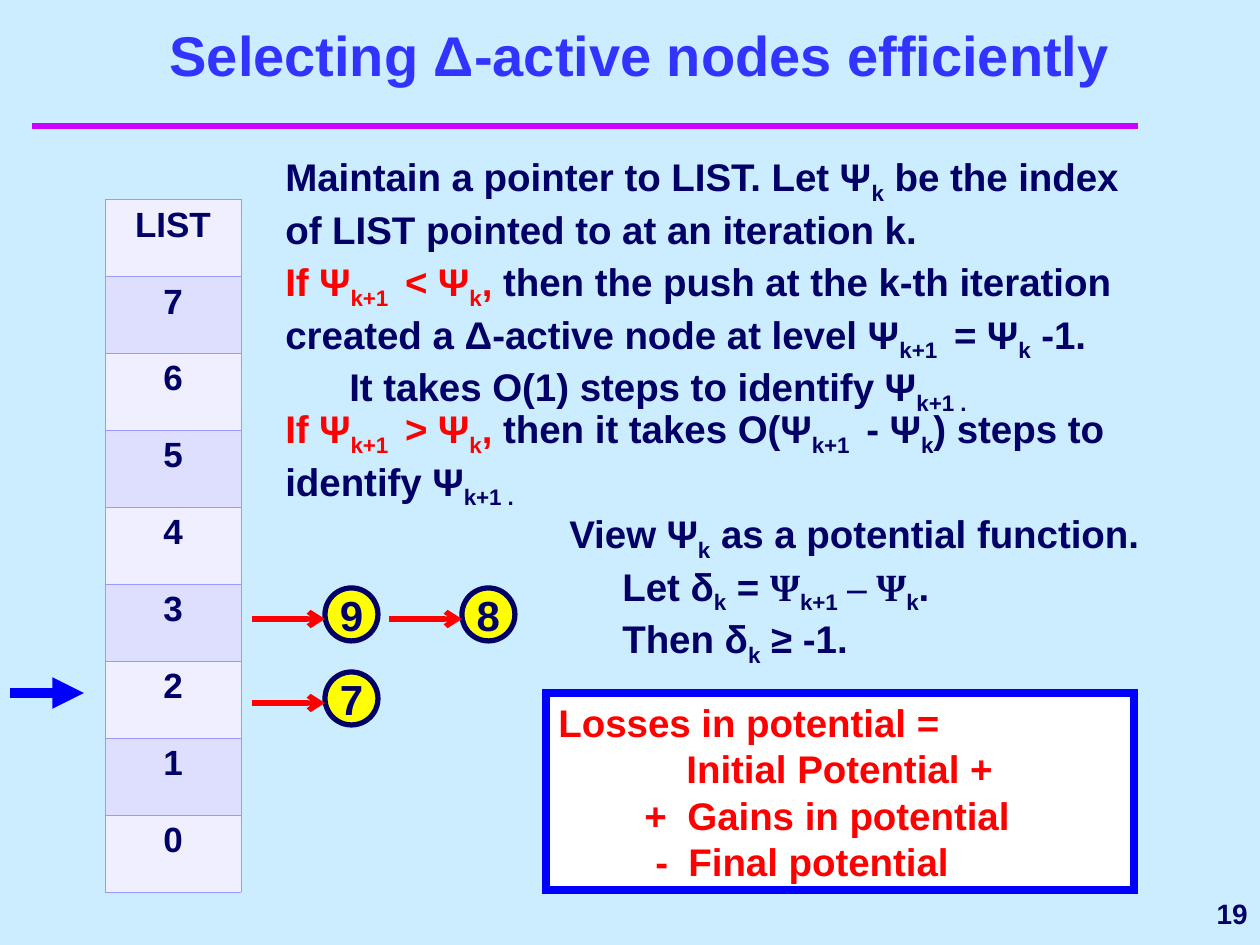
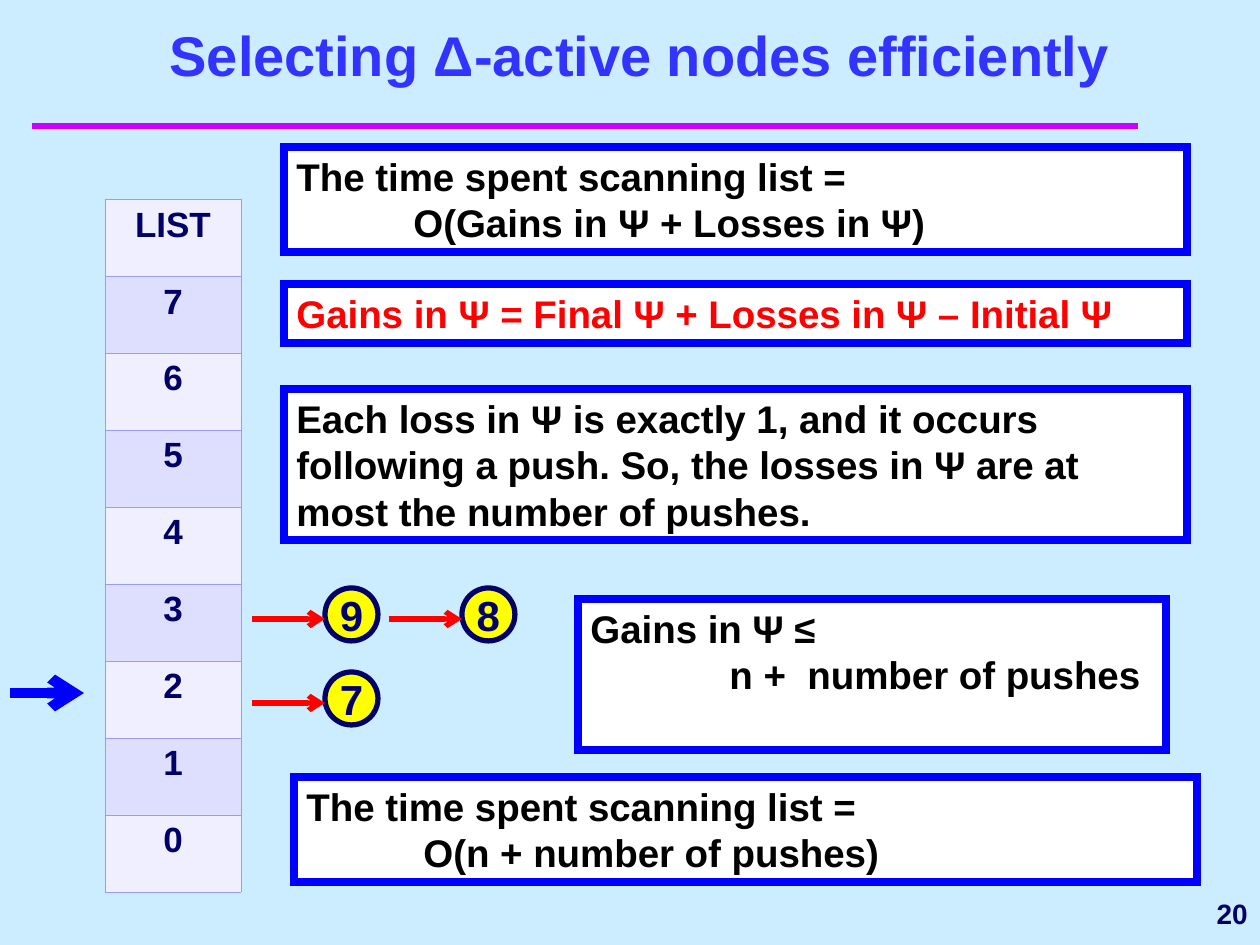
from dataclasses import dataclass

from lxml.etree import SubElement
from pptx import Presentation
from pptx.dml.color import RGBColor
from pptx.enum.shapes import MSO_CONNECTOR, MSO_SHAPE
from pptx.enum.text import MSO_ANCHOR, PP_ALIGN
from pptx.oxml import parse_xml
from pptx.oxml.ns import nsdecls, qn
from pptx.util import Emu, Pt


@dataclass(frozen=True)
class Theme:
    font: str = "Arial"
    serif: str = "Times New Roman"
    background: str = "CCECFF"
    title: str = "3333FF"
    rule: str = "CC00FF"
    ink: str = "000066"
    black: str = "000000"
    red: str = "FF0000"
    blue: str = "0000FF"
    white: str = "FFFFFF"
    node: str = "FFFF00"
    grid: str = "9999FF"
    bands: tuple = ("EFEFFF", "DEDEFF")
    title_size: int = 32
    node_size: int = 24
    body_size: int = 22
    table_size: int = 20
    number_size: int = 16


THEME = Theme()
LIST_LABELS = ("LIST", "7", "6", "5", "4", "3", "2", "1", "0")


@dataclass(frozen=True)
class Span:
    """Text in which every second part between ~ marks is a subscript."""
    text: str
    color: str = THEME.ink
    font: str = THEME.font


@dataclass(frozen=True)
class Line:
    """A paragraph; indent and hang are px, and a tab jumps to the indent."""
    spans: tuple
    indent: int = 0
    hang: int = 0


def px(length):
    return Emu(round(length * 914400 / 126))


def color_of(code):
    return RGBColor.from_string(code)


def format_run(run, size, color, font=THEME.font):
    run.font.size = Pt(size)
    run.font.bold = True
    run.font.name = font
    run.font.color.rgb = color_of(color)


def add_label(frame, text, size, color, align):
    para = frame.paragraphs[0]
    para.text = text
    para.alignment = align
    format_run(para.runs[0], size, color)


def fill_lines(frame, lines):
    frame.word_wrap = True
    frame.vertical_anchor = MSO_ANCHOR.TOP
    for number, line in enumerate(lines):
        para = frame.add_paragraph() if number else frame.paragraphs[0]
        para.alignment = PP_ALIGN.LEFT
        properties = para._p.get_or_add_pPr()
        properties.set("marL", str(px(line.indent)))
        properties.set("indent", str(px(-line.hang)))
        for span in line.spans:
            for part, text in enumerate(span.text.split("~")):
                if not text:
                    continue
                run = para.add_run()
                run.text = text
                format_run(run, THEME.body_size, span.color, span.font)
                if part % 2:
                    run.font._element.set("baseline", "-25000")


def add_text(page, box, lines):
    fill_lines(page.shapes.add_textbox(*map(px, box)).text_frame, lines)


def add_panel(page, box, lines):
    """A white box with a thick, square-cornered blue frame."""
    panel = add_preset(page, MSO_SHAPE.RECTANGLE, box, THEME.white, THEME.blue, 4.5)
    SubElement(panel.line._get_or_add_ln(), qn("a:miter"), lim="800000")
    fill_lines(panel.text_frame, lines)


def add_preset(page, kind, box, fill, outline, width):
    shape = page.shapes.add_shape(kind, *map(px, box))
    shape.shadow.inherit = False
    shape.fill.solid()
    shape.fill.fore_color.rgb = color_of(fill)
    shape.line.color.rgb = color_of(outline)
    shape.line.width = Pt(width)
    return shape


def add_line(page, left, right, y, color, width, head=None):
    """A level line; head names the arrowhead at its right end."""
    line = page.shapes.add_connector(
        MSO_CONNECTOR.STRAIGHT, px(left), px(y), px(right), px(y))
    line.line.color.rgb = color_of(color)
    line.line.width = Pt(width)
    if head:
        SubElement(line.line._get_or_add_ln(), qn("a:tailEnd"), type=head)
    SubElement(line._element.spPr, qn("a:effectLst"))


def add_page(deck, number):
    """A page with the shared title, rule and page number."""
    page = deck.slides.add_slide(deck.slide_layouts[6])
    page.background.fill.solid()
    page.background.fill.fore_color.rgb = color_of(THEME.background)
    add_line(page, 32, 1138, 126, THEME.rule, 4)
    labels = (
        ((1018, 882, 242, 63), str(number), THEME.number_size, THEME.ink,
         PP_ALIGN.RIGHT, MSO_ANCHOR.MIDDLE),
        ((52, 41, 1176, 53), "Selecting Δ-active nodes efficiently",
         THEME.title_size, THEME.title, PP_ALIGN.CENTER, MSO_ANCHOR.BOTTOM),
    )
    for box, text, size, color, align, anchor in labels:
        frame = page.shapes.add_textbox(*map(px, box)).text_frame
        frame.word_wrap = True
        frame.vertical_anchor = anchor
        add_label(frame, text, size, color, align)
    return page


def add_list_table(page, box):
    frame = page.shapes.add_table(len(LIST_LABELS), 1, *map(px, box))
    for row, label in enumerate(LIST_LABELS):
        cell = frame.table.cell(row, 0)
        add_label(cell.text_frame, label, THEME.table_size, THEME.ink, PP_ALIGN.CENTER)
        cell.fill.solid()
        cell.fill.fore_color.rgb = color_of(THEME.bands[row % 2])
        for position, side in enumerate("LRTB"):
            border = parse_xml(
                f'<a:ln{side} {nsdecls("a")} w="{Pt(0.45)}"><a:solidFill>'
                f'<a:srgbClr val="{THEME.grid}"/></a:solidFill></a:ln{side}>')
            cell._tc.get_or_add_tcPr().insert(position, border)


def add_node_chain(page, left, top, labels):
    """Arrows and nodes in a row, starting at the list's edge."""
    size, step, arrow = 53, 137, 73
    for place, label in enumerate(labels):
        start = left + place * step
        node = add_preset(page, MSO_SHAPE.OVAL, (start + arrow, top, size, size),
                          THEME.node, THEME.ink, 3)
        node.text_frame.word_wrap = False
        node.text_frame.vertical_anchor = MSO_ANCHOR.MIDDLE
        add_label(node.text_frame, label, THEME.node_size, THEME.ink, PP_ALIGN.CENTER)
        add_line(page, start, start + arrow, top + 31, THEME.red, 3, "arrow")


def add_list_diagram(page, left, top, pointer_head):
    """The list, its node chains and the pointer to the current level."""
    add_list_table(page, (left, top, 136, 693))
    add_node_chain(page, left + 147, top + 389, ("9", "8"))
    add_node_chain(page, left + 147, top + 473, ("7",))
    add_line(page, left - 95, left - 21, top + 494, THEME.blue, 6, pointer_head)


def build_pointer_page(deck):
    page = add_page(deck, 19)
    add_list_diagram(page, 105, 199, "triangle")
    add_text(page, (273, 147, 870, 112), (
        Line((Span("Maintain a pointer to LIST. Let Ψ~k~ be the index "
                   "of LIST pointed to at an iteration k."),)),
    ))
    add_text(page, (273, 252, 955, 170), (
        Line((Span("If Ψ~k+1 ~ < Ψ~k~,", THEME.red),
              Span(" then the push at the k-th iteration created a Δ-active node "
                   "at level Ψ~k+1 ~ = Ψ~k~ -1."))),
        Line((Span("It takes O(1) steps to identify Ψ~k+1 ."),), indent=64),
    ))
    add_text(page, (273, 399, 955, 118), (
        Line((Span("If Ψ~k+1 ~ > Ψ~k~,", THEME.red),
              Span(" then it takes O(Ψ~k+1 ~ - Ψ~k~) steps to identify Ψ~k+1 ."))),
    ))
    add_text(page, (557, 504, 620, 170), (
        Line((Span("View Ψ~k~ as a potential function."),)),
        Line((Span("Let δ~k~ = "), Span("Ψ", font=THEME.serif), Span("~k+1"),
              Span(" – Ψ", font=THEME.serif), Span("~k~.")), indent=53),
        Line((Span("Then δ~k~ ≥ -1."),), indent=53),
    ))
    add_panel(page, (546, 693, 588, 197), (
        Line((Span("Losses in potential =", THEME.red),)),
        Line((Span("Initial Potential +", THEME.red),), indent=128),
        Line((Span("+\tGains in potential", THEME.red),), indent=129, hang=43),
        Line((Span("-\tFinal potential", THEME.red),), indent=130, hang=33),
    ))


def build_scanning_page(deck):
    page = add_page(deck, 20)
    add_list_diagram(page, 105, 199, "arrow")
    scanning = Line((Span("The time spent scanning list =", THEME.black),))
    panels = (
        ((284, 147, 903, 105), (
            scanning,
            Line((Span("O(Gains in Ψ + Losses in Ψ)", THEME.black),), indent=117))),
        ((284, 284, 903, 59), (
            Line((Span("Gains in Ψ = Final Ψ + Losses in Ψ – Initial Ψ",
                       THEME.red),)),)),
        ((284, 389, 903, 151), (
            Line((Span("Each loss in Ψ is exactly 1, and it occurs following a "
                       "push. So, the losses in Ψ are at most the number of pushes.",
                       THEME.black),)),)),
        ((578, 599, 588, 151), (
            Line((Span("Gains in Ψ ≤", THEME.black),)),
            Line((Span("n +\tnumber of pushes", THEME.black),), indent=217, hang=78))),
        ((294, 777, 903, 105), (
            scanning,
            Line((Span("O(n + number of pushes)", THEME.black),), indent=117))),
    )
    for box, lines in panels:
        add_panel(page, box, lines)


def main():
    deck = Presentation()
    deck.slide_width, deck.slide_height = px(1260), px(945)
    build_pointer_page(deck)
    build_scanning_page(deck)
    deck.save("out.pptx")


if __name__ == "__main__":
    main()
